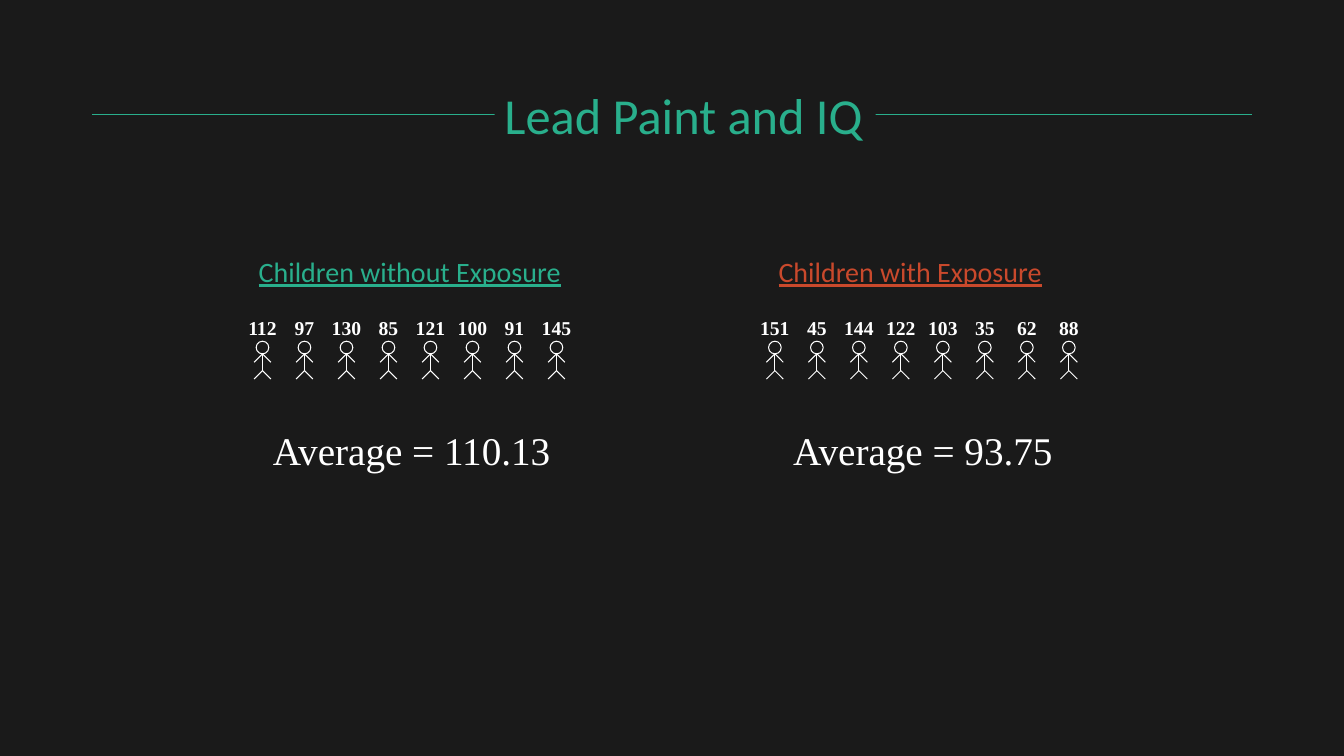
from dataclasses import dataclass

import pptx
import pptx.dml.color
import pptx.enum.shapes
import pptx.enum.text
import pptx.oxml.ns
import pptx.shapes.connector
import pptx.slide
import pptx.util
import lxml.etree

RGBColor = pptx.dml.color.RGBColor
BACKGROUND = RGBColor(0x1A, 0x1A, 0x1A)
GREEN = RGBColor(0x29, 0xAF, 0x8C)
RED = RGBColor(0xC9, 0x49, 0x2C)
WHITE = RGBColor(0xFF, 0xFF, 0xFF)

SHAPE = pptx.enum.shapes.MSO_SHAPE
ANCHOR = pptx.enum.text.MSO_ANCHOR
ALIGN = pptx.enum.text.PP_ALIGN

EMU_PER_PX = 9525  # 96 px to the inch
CHILD_PITCH = 40
SCORE_TOP, SCORE_HEIGHT = 296, 32
HEAD_SIZE = 12
NECK, HIP = 337, 353  # ends of a child's body
LIMB = 8  # reach of each arm and leg, across and down


@dataclass
class Box:
    left: int
    top: int
    width: int
    height: int


@dataclass
class Sample:
    heading: str
    heading_box: Box
    color: RGBColor
    first_child: int
    scores: list[int]
    average: str
    average_box: Box


TITLE_FONT = {"name": "Calibri", "size": pptx.util.Pt(36)}
HEADING_FONT = {"name": "Calibri", "size": pptx.util.Pt(20), "underline": True}
SCORE_FONT = {"name": "Times New Roman", "size": pptx.util.Pt(14), "bold": True}
AVERAGE_FONT = {"name": "Times New Roman", "size": pptx.util.Pt(28)}

SAMPLES = [
    Sample("Children without Exposure", Box(237, 238, 309, 42), GREEN, 250,
           [112, 97, 130, 85, 121, 100, 91, 145],
           "Average = 110.13", Box(248, 401, 288, 55)),
    Sample("Children with Exposure", Box(732, 238, 281, 42), RED, 738,
           [151, 45, 144, 122, 103, 35, 62, 88],
           "Average = 93.75", Box(744, 401, 270, 55)),
]


def px(length: int) -> int:
    return pptx.util.Emu(length * EMU_PER_PX)


def place(box: Box) -> list[int]:
    return [px(box.left), px(box.top), px(box.width), px(box.height)]


def write(frame, text: str, font: dict, color: RGBColor, anchor, align) -> None:
    frame.word_wrap = False
    frame.auto_size = pptx.enum.text.MSO_AUTO_SIZE.SHAPE_TO_FIT_TEXT
    frame.vertical_anchor = anchor
    paragraph = frame.paragraphs[0]
    paragraph.alignment = align
    run = paragraph.add_run()
    run.text = text
    for attribute, value in font.items():
        setattr(run.font, attribute, value)
    run.font.color.rgb = color


def draw_line(shapes, start: tuple[int, int], end: tuple[int, int],
              color: RGBColor, points: float) -> None:
    line = shapes.add_connector(pptx.enum.shapes.MSO_CONNECTOR.STRAIGHT,
                                *map(px, start + end))
    line.line.color.rgb = color
    line.line.width = pptx.util.Pt(points)
    lxml.etree.SubElement(line._element.spPr, pptx.oxml.ns.qn("a:effectLst"))


def draw_label(shapes, text: str, box: Box, font: dict) -> None:
    """Centred white text without a fill."""
    label = shapes.add_textbox(*place(box))
    write(label.text_frame, text, font, WHITE, ANCHOR.MIDDLE, ALIGN.CENTER)


def draw_heading(shapes, text: str, box: Box, font: dict, color: RGBColor) -> None:
    """Left-aligned text on a background-coloured block."""
    heading = shapes.add_shape(SHAPE.RECTANGLE, *place(box))
    heading.shadow.inherit = False
    heading.fill.solid()
    heading.fill.fore_color.rgb = BACKGROUND
    heading.line.fill.background()
    write(heading.text_frame, text, font, color, ANCHOR.TOP, ALIGN.LEFT)


def draw_child(shapes, center: int, score: int) -> None:
    head = shapes.add_shape(SHAPE.OVAL, *place(
        Box(center - HEAD_SIZE // 2, NECK - HEAD_SIZE, HEAD_SIZE, HEAD_SIZE)))
    head.shadow.inherit = False
    head.fill.background()
    head.line.color.rgb = WHITE
    head.line.width = pptx.util.Pt(0.75)

    draw_line(shapes, (center, NECK), (center, HIP), WHITE, 0.75)
    for joint in (HIP, NECK):
        for reach in (-LIMB, LIMB):
            draw_line(shapes, (center, joint), (center + reach, joint + LIMB), WHITE, 0.75)

    width = 48 if score >= 100 else 38
    draw_label(shapes, str(score),
               Box(center - width // 2, SCORE_TOP, width, SCORE_HEIGHT), SCORE_FONT)


def draw_sample(slide: pptx.slide.Slide, sample: Sample) -> None:
    children = slide.shapes.add_group_shape()
    for index, score in enumerate(sample.scores):
        draw_child(children.shapes, sample.first_child + index * CHILD_PITCH, score)
    draw_label(slide.shapes, sample.average, sample.average_box, AVERAGE_FONT)
    draw_heading(slide.shapes, sample.heading, sample.heading_box, HEADING_FONT, sample.color)


def main() -> None:
    deck = pptx.Presentation()
    deck.slide_width, deck.slide_height = px(1280), px(720)
    slide = deck.slides.add_slide(deck.slide_layouts[6])
    slide.background.fill.solid()
    slide.background.fill.fore_color.rgb = BACKGROUND

    # Title over its rule
    draw_line(slide.shapes, (88, 109), (1192, 109), GREEN, 0.5)
    draw_heading(slide.shapes, "Lead Paint and IQ", Box(471, 75, 363, 68), TITLE_FONT, GREEN)

    # The two samples of children
    for sample in SAMPLES:
        draw_sample(slide, sample)

    deck.save("out.pptx")


if __name__ == "__main__":
    main()
